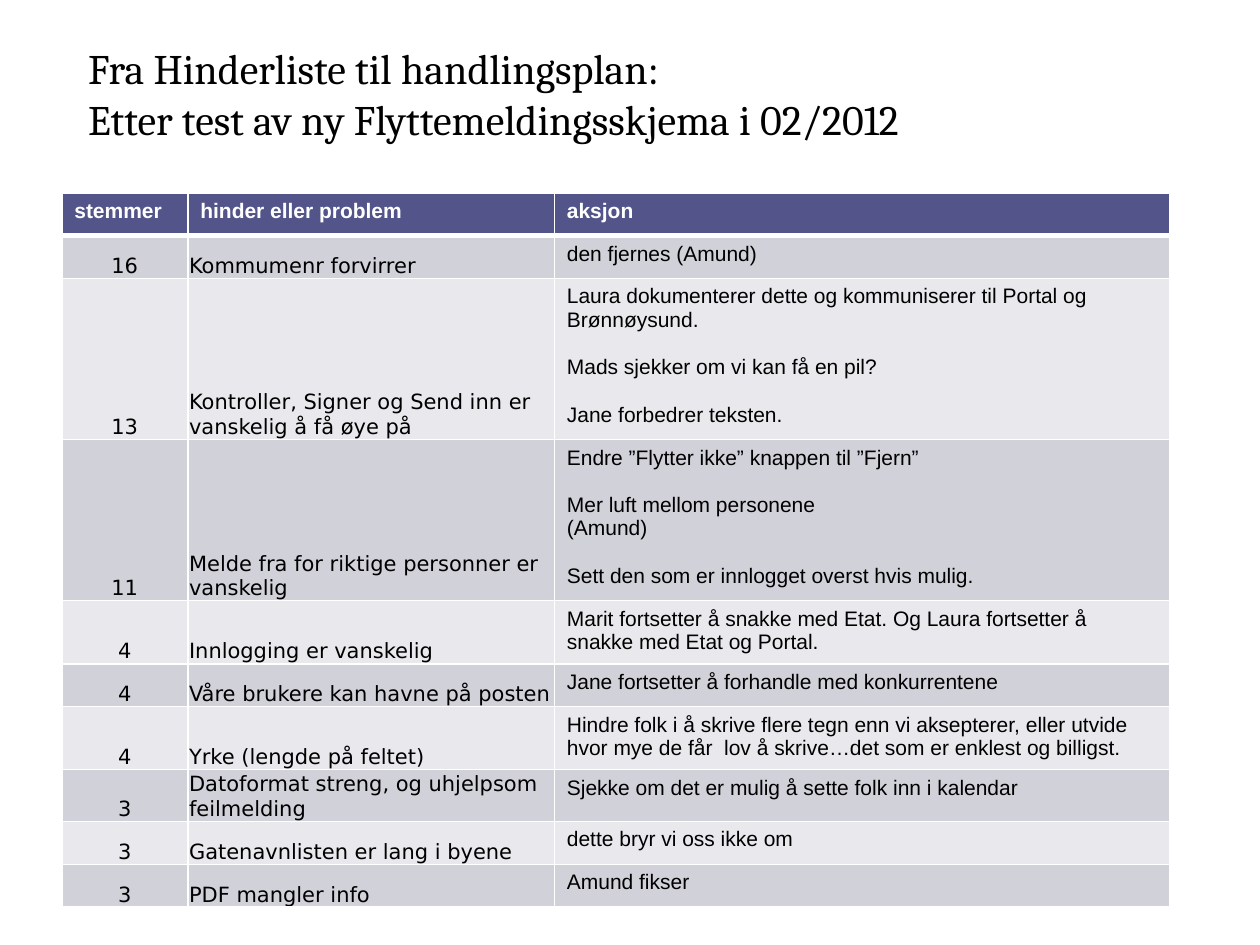
from lxml.etree import SubElement
from pptx import Presentation
from pptx.dml.color import RGBColor
from pptx.enum.text import MSO_ANCHOR as Anchor, MSO_AUTO_SIZE as Auto, PP_ALIGN as Align
from pptx.oxml.ns import qn
from pptx.util import Pt

# Content
TITLE = ["Fra Hinderliste til handlingsplan:",
         "Etter test av ny Flyttemeldingsskjema i 02/2012"]
HEAD = ("stemmer", "hinder eller problem", "aksjon")
# votes, problem, action groups (each a list of lines), row height
ROWS = [
    ("16", "Kommumenr forvirrer", [["den fjernes (Amund)"]], 24.5),
    ("13", "Kontroller, Signer og Send inn er vanskelig å få øye på",
     [["Laura dokumenterer dette og kommuniserer til Portal og Brønnøysund."],
      ["Mads sjekker om vi kan få en pil?"],
      ["Jane forbedrer teksten."]], 88.5),
    ("11", "Melde fra for riktige personner er vanskelig",
     [["Endre ”Flytter ikke” knappen til ”Fjern”"],
      ["Mer luft mellom personene", "(Amund)"],
      ["Sett den som er innlogget overst hvis mulig."]], 88.5),
    ("4", "Innlogging er vanskelig",
     [["Marit fortsetter å snakke med Etat. Og Laura fortsetter å snakke "
       "med Etat og Portal."]], 34.2),
    ("4", "Våre brukere kan havne på posten",
     [["Jane fortsetter å forhandle med konkurrentene"]], 24.5),
    ("4", "Yrke (lengde på feltet)",
     [["Hindre folk i å skrive flere tegn enn vi aksepterer, eller utvide "
       "hvor mye de får  lov å skrive…det som er enklest og billigst."]], 34.2),
    ("3", "Datoformat streng, og uhjelpsom feilmelding",
     [["Sjekke om det er mulig å sette folk inn i kalendar"]], 29),
    ("3", "Gatenavnlisten er lang i byene", [["dette bryr vi oss ikke om"]], 24.5),
    ("3", "PDF mangler info", [["Amund fikser"]], 24.5),
]

# Style
WHITE = RGBColor(255, 255, 255)
BLACK = RGBColor(0, 0, 0)
VIOLET = RGBColor(0x53, 0x54, 0x8A)
BANDS = (RGBColor(0xD1, 0xD1, 0xDA), RGBColor(0xE9, 0xE9, 0xED))
SANS, WIDE, SERIF = "Arial", "DejaVu Sans", "Cambria"
LEFT, TOP = 35.3, 110.2
COLS = (72, 209.5, 351.4)
HEAD_H = 24.5
GAP = 13.6


def write(frame, groups, font, size, color, bold=False, align=Align.LEFT):
    """Add one paragraph per line, with a gap before each later group."""
    first = True
    for group in groups:
        for i, line in enumerate(group):
            para = frame.paragraphs[0] if first else frame.add_paragraph()
            para.alignment = align
            if i == 0 and not first:
                para.space_before = Pt(GAP)
            run = para.add_run()
            run.text = line
            run.font.name, run.font.size = font, Pt(size)
            run.font.bold, run.font.color.rgb = bold, color
            first = False


def border(cell, top=1, bottom=1):
    """Draw white borders; they must come before the fill."""
    props = cell._tc.get_or_add_tcPr()
    for tag, width in (("lnL", 1), ("lnR", 1), ("lnT", top), ("lnB", bottom)):
        line = SubElement(props, qn("a:" + tag), w=str(Pt(width)))
        fill = SubElement(line, qn("a:solidFill"))
        SubElement(fill, qn("a:srgbClr"), val=str(WHITE))


def paint(cell, color):
    cell.fill.solid()
    cell.fill.fore_color.rgb = color


def tighten(cell):
    """Set text at the bottom with almost no margin."""
    cell.vertical_anchor = Anchor.BOTTOM
    cell.margin_left = cell.margin_right = cell.margin_top = Pt(0.75)
    cell.margin_bottom = 0


deck = Presentation()
deck.slide_width, deck.slide_height = Pt(720), Pt(540)
slide = deck.slides.add_slide(deck.slide_layouts[5])

# Title
title = slide.shapes.title
title.left, title.top, title.width, title.height = Pt(43.2), Pt(20.9), Pt(528.5), Pt(65.5)
frame = title.text_frame
frame.word_wrap = False
frame.auto_size = Auto.SHAPE_TO_FIT_TEXT
frame.vertical_anchor = Anchor.TOP
write(frame, [TITLE], SERIF, 24, BLACK)

# Table
heights = [HEAD_H] + [row[3] for row in ROWS]
table = slide.shapes.add_table(len(heights), len(COLS), Pt(LEFT), Pt(TOP),
                               Pt(sum(COLS)), Pt(sum(heights))).table
table.horz_banding = False
for col, width in zip(table.columns, COLS):
    col.width = Pt(width)
for row, height in zip(table.rows, heights):
    row.height = Pt(height)

# Header row
for c, text in enumerate(HEAD):
    cell = table.cell(0, c)
    border(cell, bottom=3)
    paint(cell, VIOLET)
    write(cell.text_frame, [[text]], SANS, 12, WHITE, bold=True)

# Body rows
for r, (votes, problem, action, _) in enumerate(ROWS, 1):
    cells = [table.cell(r, c) for c in range(len(COLS))]
    for cell in cells:
        border(cell, top=3 if r == 1 else 1)
        paint(cell, BANDS[(r - 1) % 2])
    for cell in cells[:2]:
        tighten(cell)
    write(cells[0].text_frame, [[votes]], WIDE, 12, BLACK, align=Align.CENTER)
    write(cells[1].text_frame, [[problem]], WIDE, 12, BLACK)
    write(cells[2].text_frame, action, SANS, 12, BLACK)

deck.save("out.pptx")
